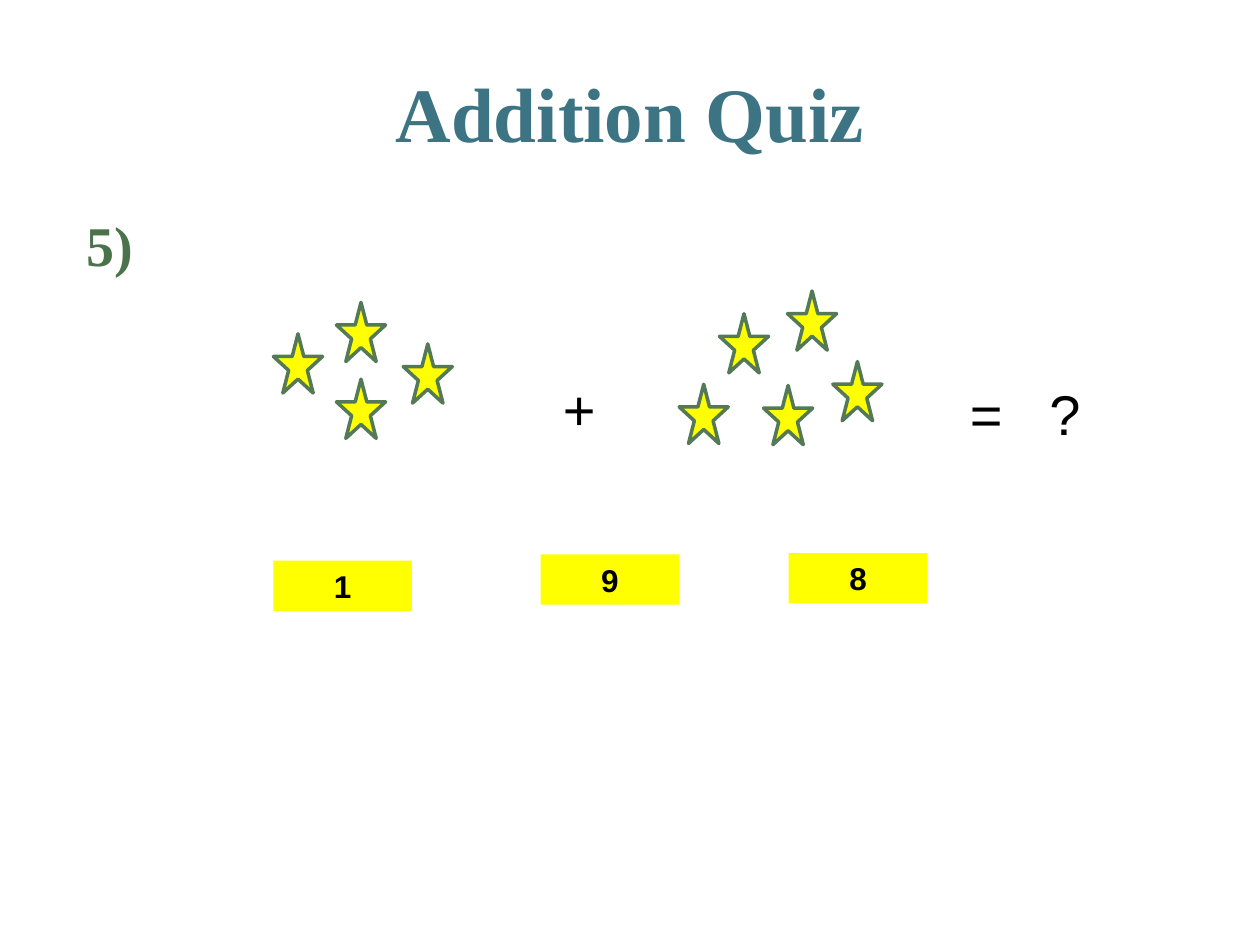
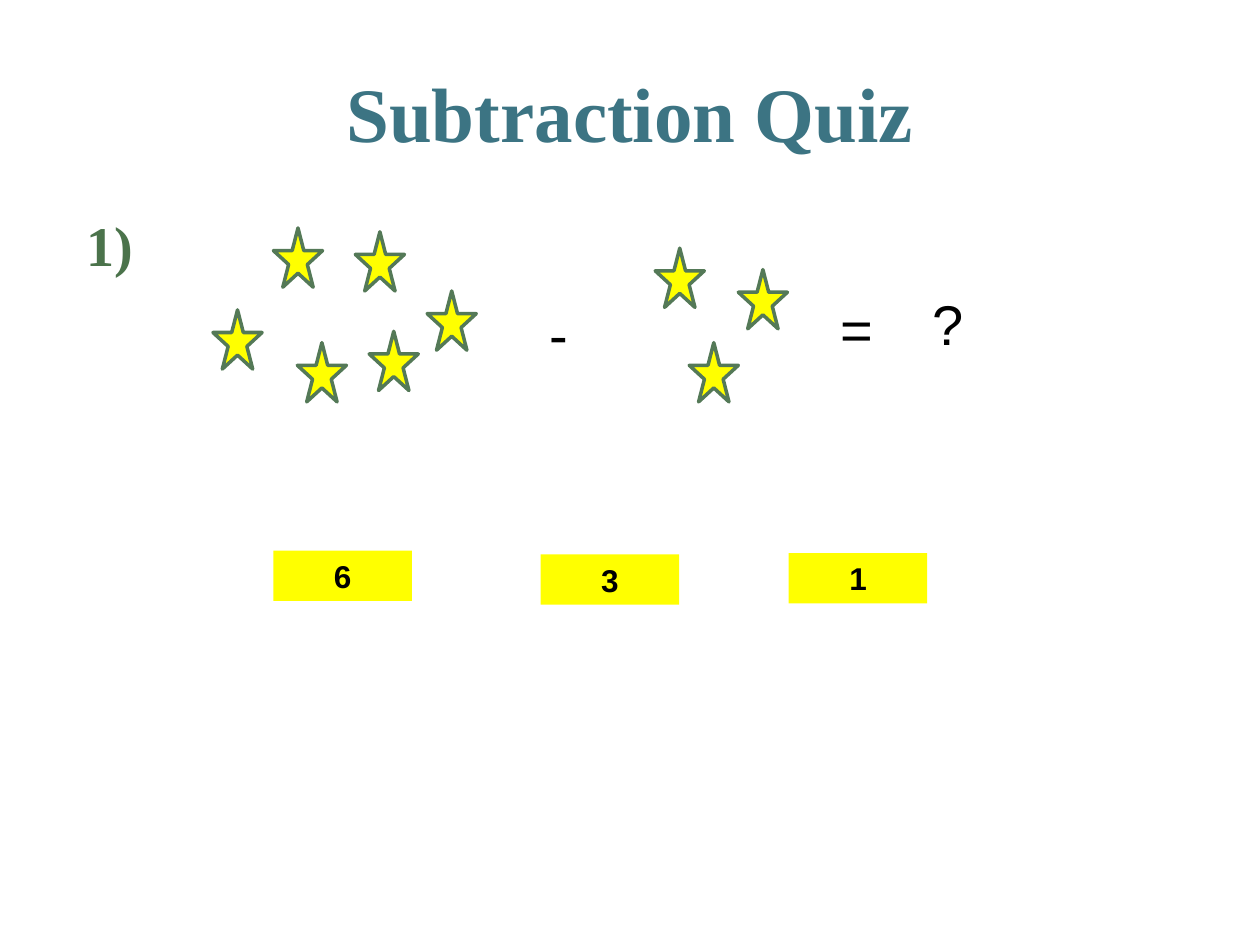
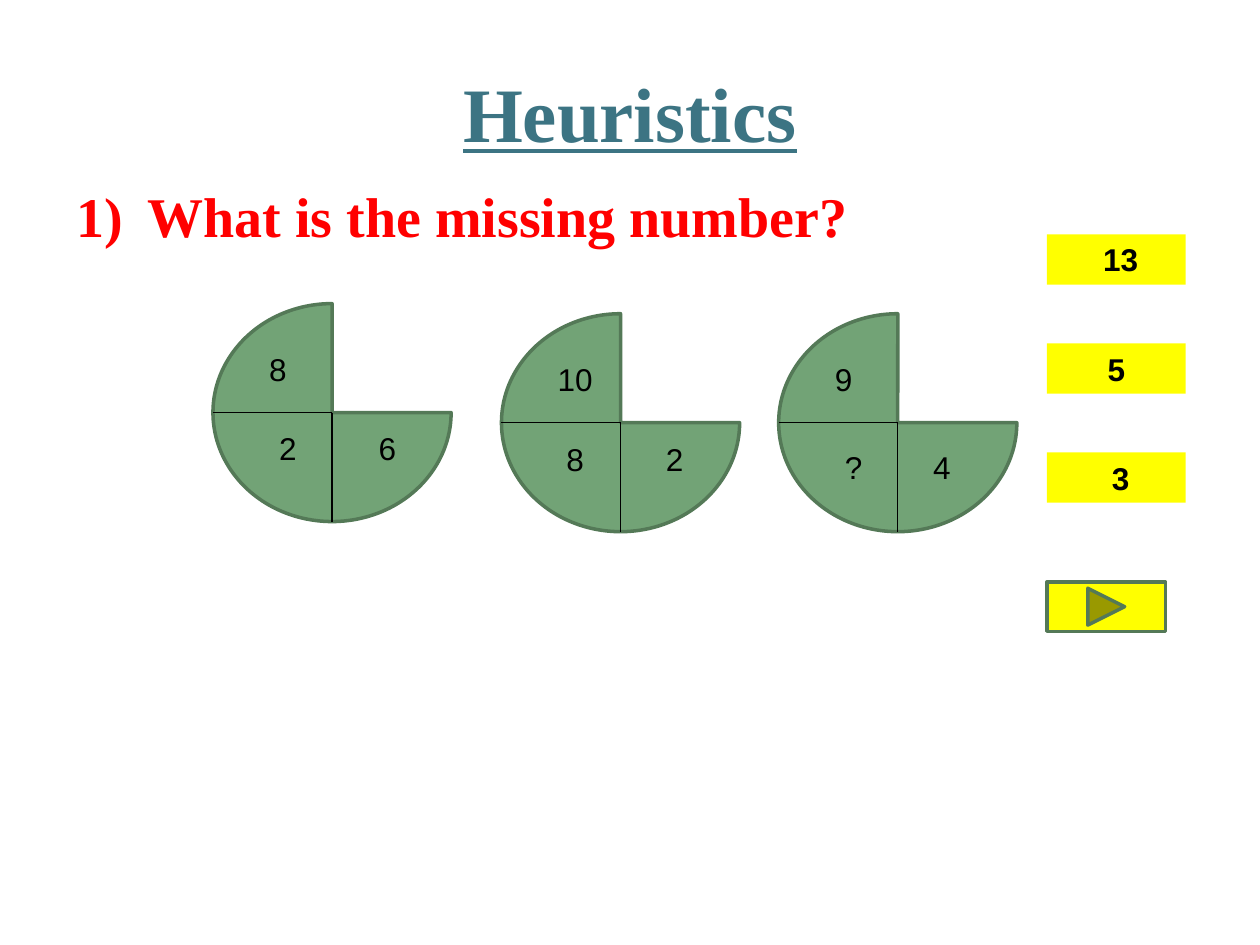
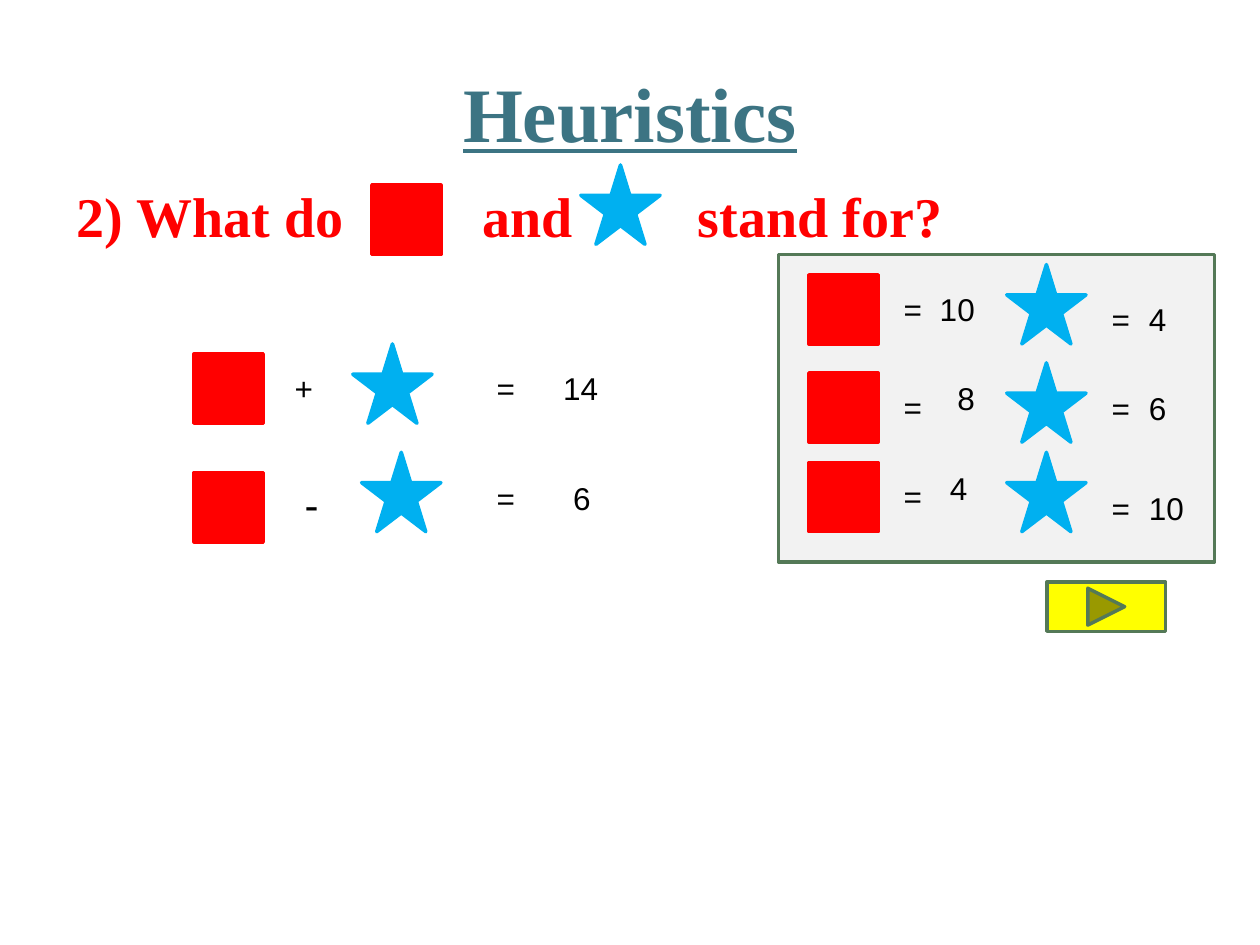
from pptx import Presentation
from pptx.dml.color import RGBColor
from pptx.enum.shapes import MSO_CONNECTOR, MSO_SHAPE as Preset
from pptx.enum.text import MSO_ANCHOR, MSO_AUTO_SIZE, PP_ALIGN
from pptx.oxml.ns import qn
from pptx.util import Inches, Pt
from lxml.etree import SubElement

SLIDE_W, SLIDE_H = Inches(10), Inches(7.5)
COL, ROW = SLIDE_W / 100, SLIDE_H / 75

COLORS = {
    "title": "3C7483", "number": "4B734B", "question": "FF0000",
    "text": "000000", "answer": "FFFF00", "outline": "547957",
    "pie": "72A376", "panel": "F2F2F2", "square": "FF0000", "star": "00B0F0",
}
SERIF, SANS = "Times New Roman", "Arial"

QUIZ_STAR = (3.9, 4.7)
ANSWER = (11, 4)
LABEL = (5.5, 4)
SQUARE = (5.5, 5.5)
BLUE_STAR = (6.3, 6.3)
PIE_W, PIE_H = 18.9, 17.3
QUESTION_TOP, QUESTION_H = 13.9, 6.6
QUESTION_SIZE = 32
QUESTION_GAP = Pt(0.2 * QUESTION_SIZE)


def color(name):
    return RGBColor.from_string(COLORS[name])


def grid(left, top, width, height):
    """Turn grid columns and rows into slide lengths."""
    return [round(n * unit) for n, unit in
            ((left, COL), (top, ROW), (width, COL), (height, ROW))]


def write(frame, text, size, font=SANS, tint="text", bold=False, align=None):
    frame.word_wrap = True
    frame.text = text
    paragraph = frame.paragraphs[0]
    paragraph.alignment = align
    for run in paragraph.runs:
        run.font.name, run.font.size, run.font.bold = font, Pt(size), bold
        run.font.color.rgb = color(tint)
    return paragraph


def fill_placeholder(holder, box, text, size, tint, align=None):
    holder.left, holder.top, holder.width, holder.height = grid(*box)
    holder.text_frame.auto_size = MSO_AUTO_SIZE.NONE
    return write(holder.text_frame, text, size, SERIF, tint, True, align)


def new_slide(prs, title, underline=False):
    slide = prs.slides.add_slide(prs.slide_layouts[1])
    heading = fill_placeholder(slide.shapes.title, (5, 5.8, 90, 6.2),
                               title, 44, "title", PP_ALIGN.CENTER)
    slide.shapes.title.text_frame.vertical_anchor = MSO_ANCHOR.MIDDLE
    if underline:
        heading.runs[0].font.underline = True
    return slide


def add_question(slide, box, text, tint, indent=0, numbered=False):
    paragraph = fill_placeholder(slide.placeholders[1], box, text,
                                 QUESTION_SIZE, tint)
    paragraph.space_before = QUESTION_GAP
    props = paragraph._p.get_or_add_pPr()
    hang = round(indent * COL)
    props.set("marL", str(hang))
    props.set("indent", str(-hang))
    if numbered:
        SubElement(props, qn("a:buFont"), typeface="+mj-lt")
        SubElement(props, qn("a:buAutoNum"), type="arabicParenR")
    else:
        SubElement(props, qn("a:buNone"))


def continue_question(slide, left, width, text):
    """Carry the question on, to the right of a symbol."""
    box = slide.shapes.add_textbox(*grid(left, QUESTION_TOP, width, QUESTION_H))
    paragraph = write(box.text_frame, text, QUESTION_SIZE, SERIF, "question", True)
    paragraph.space_before = QUESTION_GAP


def add_figure(shapes, preset, box, fill, line=None):
    figure = shapes.add_shape(preset, *grid(*box))
    figure.shadow.inherit = False
    figure.fill.solid()
    figure.fill.fore_color.rgb = color(fill)
    if line:
        figure.line.color.rgb = color(line)
        figure.line.width = Pt(2)
    else:
        figure.line.fill.background()
    return figure


def add_label(slide, left, top, text, size=18, area=LABEL, align=None):
    label = slide.shapes.add_textbox(*grid(left, top, *area))
    write(label.text_frame, text, size, align=align)


def add_equals(slide, left, top):
    add_label(slide, left, top, "=", align=PP_ALIGN.CENTER)


def add_answer(slide, left, top, text):
    box = add_figure(slide.shapes, Preset.RECTANGLE, (left, top, *ANSWER), "answer")
    box.text_frame.vertical_anchor = MSO_ANCHOR.TOP
    write(box.text_frame, text, 18, bold=True, align=PP_ALIGN.CENTER)


def add_next_button(slide):
    add_figure(slide.shapes, Preset.ACTION_BUTTON_FORWARD_OR_NEXT,
               (83.1, 46.2, 9.4, 3.9), "answer", "outline")


def add_square(slide, left, top):
    add_figure(slide.shapes, Preset.RECTANGLE, (left, top, *SQUARE), "square", "square")


def add_blue_star(slide, left, top):
    add_figure(slide.shapes, Preset.STAR_5_POINT, (left, top, *BLUE_STAR), "star", "star")


def add_divider(shapes, x1, y1, x2, y2):
    left, top, right, bottom = grid(x1, y1, x2, y2)
    divider = shapes.add_connector(MSO_CONNECTOR.STRAIGHT, left, top, right, bottom)
    divider.line.color.rgb = color("text")
    divider.line.width = Pt(0.75)
    SubElement(divider._element.spPr, qn("a:effectLst"))


def add_number_pie(slide, left, top, numbers):
    """Three quarters of a pie; numbers are (text, dx, dy) from its corner."""
    parts = slide.shapes.add_group_shape().shapes
    add_figure(parts, Preset.PIE, (left, top, PIE_W, PIE_H), "pie", "outline")
    mid_x, mid_y = left + PIE_W / 2, top + PIE_H / 2
    add_divider(parts, left, mid_y, mid_x, mid_y)
    add_divider(parts, mid_x, mid_y, mid_x, top + PIE_H)
    for text, dx, dy in numbers:
        add_label(slide, left + dx, top + dy, text, align=PP_ALIGN.CENTER)


def star_quiz(prs, title, number, stars, signs, answers):
    slide = new_slide(prs, title)
    add_question(slide, (5.9, 16.2, 85, QUESTION_H), number, "number", indent=3.8)
    for left, (text, top) in zip((21.7, 42.9, 62.6), answers):
        add_answer(slide, left, top, text)
    for text, left, top in signs:
        add_label(slide, left, top, text, 32, (4.7, 6.4))
    for left, top in stars:
        add_figure(slide.shapes, Preset.STAR_5_POINT,
                   (left, top, *QUIZ_STAR), "answer", "outline")


def missing_number(prs):
    slide = new_slide(prs, "Heuristics", underline=True)
    add_question(slide, (5.1, QUESTION_TOP, 90, QUESTION_H),
                 "What is the missing number?", "question",
                 indent=5.6, numbered=True)
    add_number_pie(slide, 16.9, 24.1,
                   [("8", 2.4, 3.2), ("2", 3.2, 9.5), ("6", 11.1, 9.5)])
    add_number_pie(slide, 39.8, 24.9,
                   [("10", 3.1, 3.2), ("8", 3.1, 9.5), ("2", 11, 9.5)])
    add_number_pie(slide, 61.8, 24.9,
                   [("9", 2.4, 3.2), ("?", 3.2, 10.2), ("4", 10.2, 10.2)])
    for row, text in enumerate((" 13", "5", " 3")):
        add_answer(slide, 83.1, 18.6 + 8.65 * row, text)
    add_next_button(slide)


def symbol_values(prs):
    slide = new_slide(prs, "Heuristics", underline=True)
    add_question(slide, (5.1, QUESTION_TOP, 24.2, QUESTION_H), "2) What do",
                 "question")
    add_square(slide, 29.5, 14.7)
    continue_question(slide, 37.3, 10, "and")
    add_blue_star(slide, 46.1, 13.1)
    continue_question(slide, 54.4, 24, "stand for?")

    equations = [  # square top, sign, star, row of text, result
        (28.1, ("+", 22.4, 18, 4), (28, 27.3), 28.8, ("14", 43.7)),
        (37.5, ("-", 23.2, 24, 5), (28.7, 35.9), 37.5, ("6", 44.5)),
    ]
    for square_top, sign, star, text_top, (result, result_left) in equations:
        symbol, sign_left, size, height = sign
        add_square(slide, 15.4, square_top)
        add_label(slide, sign_left, text_top, symbol, size, (5.5, height))
        add_blue_star(slide, *star)
        add_equals(slide, 37.4, text_top)
        add_label(slide, result_left, text_top, result)

    add_figure(slide.shapes, Preset.RECTANGLE, (61.8, 20.2, 34.6, 24.4),
               "panel", "outline")
    choices = [  # row top, square value (text, left, top), star value (text, top)
        (21.8, ("10", 73.6, 22.5), ("4", 23.3)),
        (29.6, ("8", 75, 29.6), ("6", 30.4)),
        (36.7, ("4", 74.4, 36.7), ("10", 38.3)),
    ]
    for top, (square_value, value_left, value_top), (star_value, star_top) in choices:
        add_square(slide, 64.2, top)
        add_equals(slide, 69.7, top + 0.7)
        add_label(slide, value_left, value_top, square_value)
        add_blue_star(slide, 79.9, top - 0.8)
        add_equals(slide, 86.2, star_top)
        add_label(slide, 90.2, star_top, star_value)
    add_next_button(slide)


def main():
    prs = Presentation()
    prs.slide_width, prs.slide_height = SLIDE_W, SLIDE_H
    star_quiz(
        prs, "Addition Quiz", "5)",
        stars=[(21.7, 26.5), (26.7, 24), (26.7, 30.1), (32, 27.3),
               (57.1, 24.9), (62.5, 23.1), (53.9, 30.5), (60.6, 30.6), (66.1, 28.7)],
        signs=[("+", 43.7, 29.2), ("=", 76, 29.6), ("?", 82.3, 29.6)],
        answers=[("1", 44.5), ("9", 44), ("8", 43.9)])
    star_quiz(
        prs, "Subtraction Quiz", "1)",
        stars=[(16.9, 24.6), (21.7, 18.1), (29.3, 26.3), (28.2, 18.4), (33.9, 23.1),
               (23.6, 27.2), (52, 19.7), (58.6, 21.4), (54.7, 27.2)],
        signs=[("-", 42.6, 23.3), ("=", 65.7, 22.9), ("?", 73, 22.5)],
        answers=[("6", 43.7), ("3", 44), ("1", 43.9)])
    missing_number(prs)
    symbol_values(prs)
    prs.save("out.pptx")


if __name__ == "__main__":
    main()
